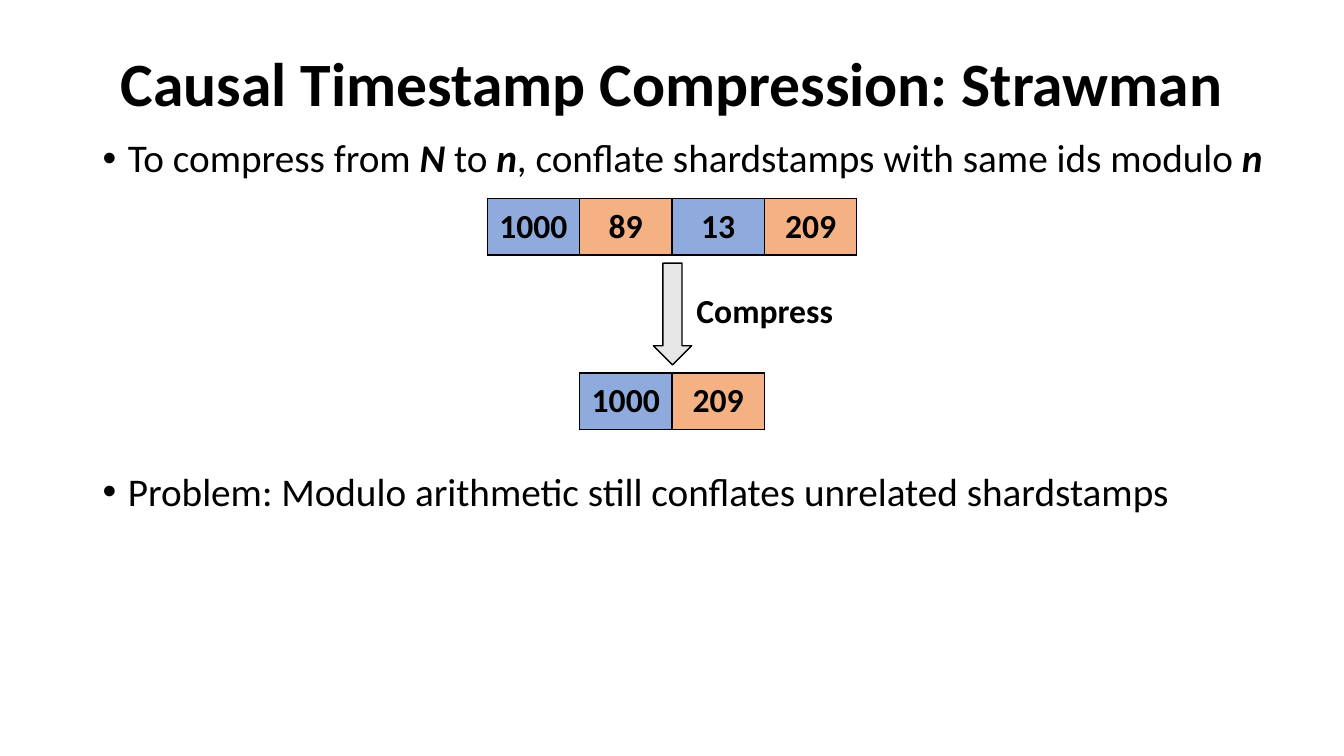
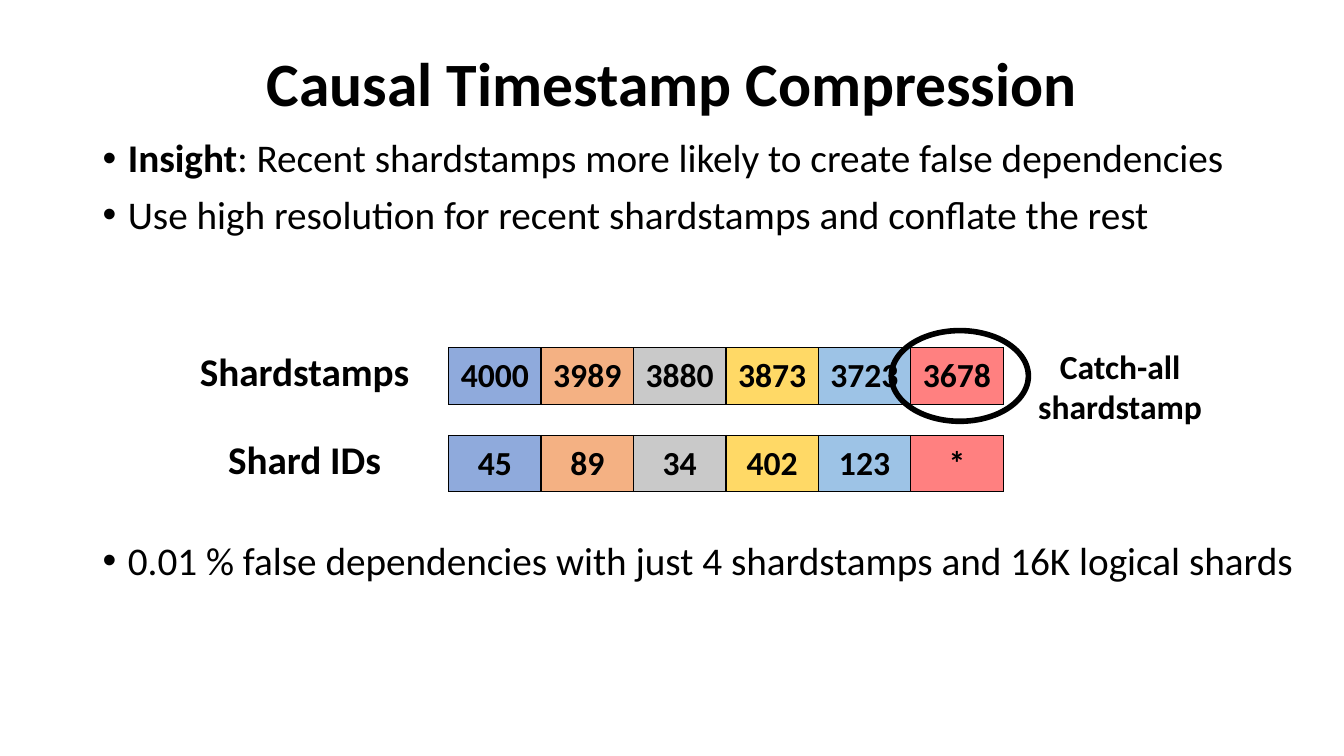
from lxml import etree
from pptx import Presentation
from pptx import util as u
from pptx.dml import color
from pptx.enum import shapes, text
from pptx.oxml import ns

FONT = "Calibri"
COLORS = {
    "black": "000000", "blue": "8FAADC", "orange": "F4B183", "grey": "C9C9C9",
    "yellow": "FFD966", "sky": "9DC3E6", "red": "FF8080", "arrow": "E7E6E6",
}
SLIDE_WIDTH = 13.33
CELL_WIDTH, CELL_HEIGHT = 5.5 / 6, 0.56
BODY_LEFT, BODY_WIDTH = 0.92, 12.16


def rgb(name):
    return color.RGBColor.from_string(COLORS[name])


def box(left, top, width, height):
    return [u.Inches(value) for value in (left, top, width, height)]


def format_font(font, size, bold=False, italic=False):
    font.name, font.size = FONT, u.Pt(size)
    font.bold, font.italic = bold, italic
    font.color.rgb = rgb("black")


def add_slide(presentation, title):
    """Add a slide with the shared title style."""
    slide = presentation.slides.add_slide(presentation.slide_layouts[5])
    shape = slide.shapes.title
    shape.left, shape.top, shape.width, shape.height = box(0.92, 0.13, 11.5, 1.45)
    frame = shape.text_frame
    frame.text = title
    frame.vertical_anchor = text.MSO_ANCHOR.MIDDLE
    paragraph = frame.paragraphs[0]
    paragraph.alignment = text.PP_ALIGN.CENTER
    paragraph.line_spacing = 0.9
    format_font(paragraph.runs[0].font, 44, bold=True)
    return slide


def add_text_frame(slide, bounds):
    frame = slide.shapes.add_textbox(*box(*bounds)).text_frame
    frame.word_wrap = True
    return frame


def add_bullets(slide, top, height, items):
    """Add bullets; each item is a list of (text, style) runs."""
    frame = add_text_frame(slide, (BODY_LEFT, top, BODY_WIDTH, height))
    for index, item in enumerate(items):
        paragraph = frame.add_paragraph() if index else frame.paragraphs[0]
        paragraph.line_spacing = 0.9
        paragraph.space_before = u.Pt(10 if index else 0)
        properties = paragraph._p.get_or_add_pPr()
        properties.set("marL", str(u.Inches(0.25)))
        properties.set("indent", str(u.Inches(-0.25)))
        etree.SubElement(properties, ns.qn("a:buFont"), typeface="Arial")
        etree.SubElement(properties, ns.qn("a:buChar"), char="•")
        for words, style in item:
            run = paragraph.add_run()
            run.text = words
            format_font(run.font, 28, "b" in style, "i" in style)


def add_label(slide, bounds, words, size=24):
    """Add a bold centred label."""
    frame = add_text_frame(slide, bounds)
    frame.text = words
    for paragraph in frame.paragraphs:
        paragraph.alignment = text.PP_ALIGN.CENTER
        format_font(paragraph.runs[0].font, size, bold=True)


def add_borders(cell):
    """Draw thin black lines around a cell, ahead of its fill."""
    properties = cell._tc.get_or_add_tcPr()
    for index, side in enumerate(("lnL", "lnR", "lnT", "lnB")):
        line = etree.Element(ns.qn(f"a:{side}"), w=str(u.Pt(1)))
        fill = etree.SubElement(line, ns.qn("a:solidFill"))
        etree.SubElement(fill, ns.qn("a:srgbClr"), val=COLORS["black"])
        properties.insert(index, line)


def add_stamp_row(slide, left, top, values, fills):
    """Add a one-row table of coloured cells."""
    count = len(values)
    bounds = box(left, top, count * CELL_WIDTH, CELL_HEIGHT)
    table = slide.shapes.add_table(1, count, *bounds).table
    table.first_row = table.horz_banding = False
    for index, (value, fill) in enumerate(zip(values, fills)):
        table.columns[index].width = u.Inches(CELL_WIDTH)
        cell = table.cell(0, index)
        cell.fill.solid()
        cell.fill.fore_color.rgb = rgb(fill)
        add_borders(cell)
        cell.vertical_anchor = text.MSO_ANCHOR.MIDDLE
        cell.text = value
        paragraph = cell.text_frame.paragraphs[0]
        paragraph.alignment = text.PP_ALIGN.CENTER
        format_font(paragraph.runs[0].font, 24, bold=True)


def add_outline(slide, kind, bounds, weight, fill=None):
    """Add a black-outlined shape, filled only when a colour is given."""
    shape = slide.shapes.add_shape(kind, *box(*bounds))
    shape.shadow.inherit = False
    shape.line.color.rgb = rgb("black")
    shape.line.width = u.Pt(weight)
    if fill:
        shape.fill.solid()
        shape.fill.fore_color.rgb = rgb(fill)
    else:
        shape.fill.background()


def build_strawman(presentation):
    slide = add_slide(presentation, "Causal Timestamp Compression: Strawman")
    add_bullets(slide, 1.33, 0.69, [[
        ("To compress from ", ""), ("N", "bi"), (" to ", ""), ("n", "bi"),
        (", conflate shardstamps with same ids modulo ", ""), ("n", "bi"),
    ]])

    # Full and compressed timestamps, centred on the slide
    for top, values in ((1.97, ("1000", "89", "13", "209")), (3.7, ("1000", "209"))):
        left = (SLIDE_WIDTH - len(values) * CELL_WIDTH) / 2
        add_stamp_row(slide, left, top, values, ("blue", "orange") * 2)
    add_outline(slide, shapes.MSO_SHAPE.DOWN_ARROW, (6.48, 2.61, 0.38, 1.01), 1, "arrow")
    add_label(slide, (6.6, 2.83, 1.97, 0.5), "Compress")

    add_bullets(slide, 4.64, 2.53, [
        [("Problem: Modulo arithmetic still conflates unrelated shardstamps", "")],
    ])


def build_compression(presentation):
    slide = add_slide(presentation, "Causal Timestamp Compression")
    add_bullets(slide, 1.33, 2.12, [
        [("Insight", "b"),
         (": Recent shardstamps more likely to create false dependencies", "")],
        [("Use high resolution for recent shardstamps and conflate the rest", "")],
    ])

    # Labelled rows of shardstamps and their shards
    fills = ("blue", "orange", "grey", "yellow", "sky", "red")
    rows = (
        ("Shardstamps", ("4000", "3989", "3880", "3873", "3723", "3678")),
        ("Shard IDs", ("45", "89", "34", "402", "123", "*")),
    )
    for index, (label, values) in enumerate(rows):
        top = 3.45 + index * 0.87
        add_stamp_row(slide, 4.45, top, values, fills)
        add_label(slide, (1.85, top - 0.05, 2.34, 0.57), label, 28)

    # Catch-all callout
    add_outline(slide, shapes.MSO_SHAPE.OVAL, (8.84, 3.28, 1.36, 0.9), 4)
    add_label(slide, (9.94, 3.38, 2.34, 0.91), "Catch-all\nshardstamp")

    add_bullets(slide, 5.32, 0.67, [
        [("0.01 % false dependencies with just 4 shardstamps and 16K logical shards", "")],
    ])


def main():
    presentation = Presentation()
    presentation.slide_width = u.Inches(SLIDE_WIDTH)
    presentation.slide_height = u.Inches(7.5)
    build_strawman(presentation)
    build_compression(presentation)
    presentation.save("out.pptx")


if __name__ == "__main__":
    main()
